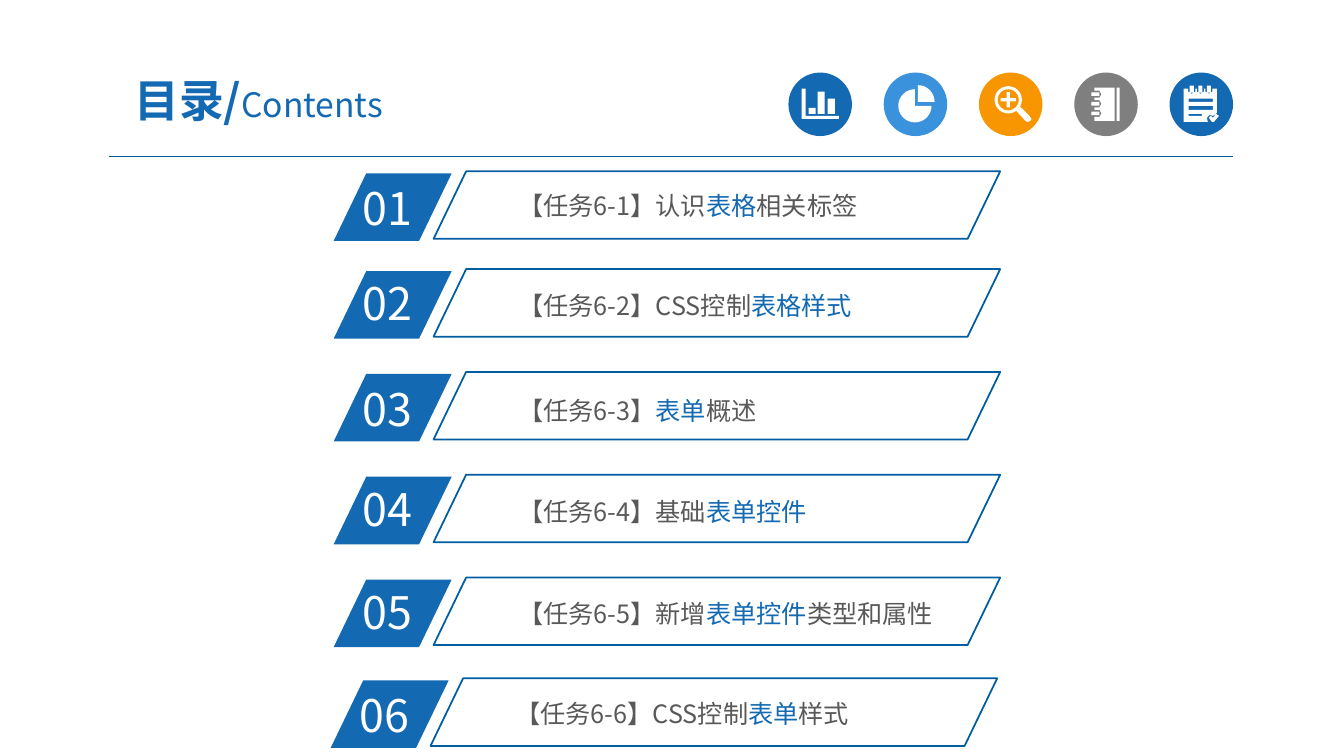
from dataclasses import dataclass
from math import cos, radians, sin

from lxml import etree
from pptx import Presentation
from pptx.dml.color import RGBColor
from pptx.enum.shapes import MSO_CONNECTOR, MSO_SHAPE
from pptx.enum.text import MSO_ANCHOR, MSO_AUTO_SIZE, PP_ALIGN
from pptx.oxml.ns import qn
from pptx.util import Inches, Pt

OVAL, SLANT = MSO_SHAPE.OVAL, MSO_SHAPE.PARALLELOGRAM
STRAIGHT = MSO_CONNECTOR.STRAIGHT
CENTER, LEFT = PP_ALIGN.CENTER, PP_ALIGN.LEFT
MIDDLE, TOP = MSO_ANCHOR.MIDDLE, MSO_ANCHOR.TOP
NO_FIT, GROW = MSO_AUTO_SIZE.NONE, MSO_AUTO_SIZE.SHAPE_TO_FIT_TEXT


@dataclass(frozen=True)
class Theme:
    font: str = "Noto Sans CJK SC"
    blue: str = "1369B2"
    sky: str = "3992DB"
    orange: str = "F79600"
    gray: str = "7F7F7F"
    text: str = "595959"
    rule: str = "005B9E"
    outline: str = "005DA2"
    white: str = "FFFFFF"
    title: int = 32
    subtitle: int = 24
    label: int = 18


T = Theme()


# Shared helpers
def rgb(color):
    return RGBColor.from_string(color)


def write(sp, runs, align=LEFT, anchor=TOP, inset=(0.1, 0.05), fit=GROW):
    """Fill a shape with one paragraph of (text, size, color, bold) runs."""
    tf = sp.text_frame
    tf.word_wrap, tf.auto_size, tf.vertical_anchor = True, fit, anchor
    tf.margin_left = tf.margin_right = Inches(inset[0])
    tf.margin_top = tf.margin_bottom = Inches(inset[1])
    p = tf.paragraphs[0]
    p.alignment = align
    for text, size, color, bold in runs:
        r = p.add_run()
        r.text = text
        r.font.size, r.font.bold, r.font.name = Pt(size), bold, T.font
        r.font.color.rgb = rgb(color)
        etree.SubElement(r.font._element, qn("a:ea"), typeface=T.font)


def add_shape(shapes, kind, left, top, width, height, fill=None):
    sp = shapes.add_shape(kind, Inches(left), Inches(top), Inches(width), Inches(height))
    sp.shadow.inherit = False
    if fill:
        sp.fill.solid()
        sp.fill.fore_color.rgb = rgb(fill)
        sp.line.fill.background()
    else:
        sp.fill.background()
    return sp


# Icon outlines, in hundredths of an inch from the corner of the disc
def rect(l, t, r, b):
    return [(l, t), (r, t), (r, b), (l, b)]


def arc(cx, cy, radius, start=0, end=360):
    angles = [radians(a) for a in range(start, end + 1, 10)]
    return [(cx + radius * cos(a), cy + radius * sin(a)) for a in angles]


def bar_chart():
    axes = [(13, 16), (17, 16), (17, 43), (50, 43), (50, 46), (13, 46)]
    return [axes] + [rect(x, y, x + 7, 41) for x, y in ((20, 35), (29, 19), (39, 26))]


def pie_chart():
    return [[(34, 29)] + arc(34, 29, 16.5, -90, 0),
            [(31, 33)] + arc(31, 33, 16.5, 0, 270)]


def magnifier():
    cx, cy, arm, half = 29, 27, 7.5, 1.6
    handle = [(37, 38), (41, 34), (50, 43), (52, 46), (51, 48), (48, 49), (46, 48)]
    plus = [(-half, -arm), (half, -arm), (half, -half), (arm, -half), (arm, half),
            (half, half), (half, arm), (-half, arm), (-half, half), (-arm, half),
            (-arm, -half), (-half, -half)]
    return [arc(cx, cy, 13.5), arc(cx, cy, 10.5), handle,
            [(cx + x, cy + y) for x, y in plus]]


def notebook():
    rings = [21.5, 31, 40.5]
    page = [(40, 48), (40, 15), (20, 15)]
    for y in rings:
        page += [(20, y - 3.5), (25, y - 3.5), (27, y), (25, y + 3.5), (20, y + 3.5)]
    page.append((20, 48))
    return [page, rect(42, 15, 45, 48)] + [rect(17, y - 1.8, 25, y + 1.8) for y in rings]


def notepad():
    tabs = [22, 30.5, 39]
    page = [(14, 49), (14, 16)]
    for x in tabs:
        page += [(x - 3.5, 16), (x - 3.5, 19), (x, 21), (x + 3.5, 19), (x + 3.5, 16)]
    page += [(47, 16), (47, 40), (43, 43), (40, 42), (37, 45), (38, 49)]
    tick = [(39, 45), (41, 43), (43, 45), (46, 41), (49, 43), (44, 49), (42, 49)]
    lines = [rect(19, 26, 43, 29), rect(19, 33, 43, 37), rect(19, 41, 32, 43)]
    return [page, tick] + lines + [rect(x - 2, 13, x + 2, 20) for x in tabs]


def add_icon(slide, left, top, size, color, contours):
    shapes = slide.shapes.add_group_shape().shapes
    add_shape(shapes, OVAL, left, top, size, size, color)
    scaled = [[(x * 10, y * 10) for x, y in c] for c in contours]
    builder = shapes.build_freeform(*scaled[0][0], scale=Inches(0.001))
    builder.add_line_segments(scaled[0][1:])
    for contour in scaled[1:]:
        builder.move_to(*contour[0])
        builder.add_line_segments(contour[1:])
    sp = builder.convert_to_shape(Inches(left), Inches(top))
    sp.shadow.inherit = False
    sp.fill.solid()
    sp.fill.fore_color.rgb = rgb(T.white)
    sp.line.fill.background()


# Header: title, icon strip and rule
def add_header(slide, left, top, right, bottom):
    rule = slide.shapes.add_connector(STRAIGHT, Inches(left), Inches(bottom),
                                      Inches(right), Inches(bottom))
    rule.line.color.rgb, rule.line.width = rgb(T.rule), Pt(0.75)
    etree.SubElement(rule._element.spPr, qn("a:effectLst"))

    title = slide.shapes.title
    title.left, title.top = Inches(left - 0.16), Inches(top)
    title.width, title.height = Inches(3.29), Inches(0.72)
    write(title, [("目录/", T.title, T.blue, True), ("Contents", T.subtitle, T.blue, False)],
          CENTER, MIDDLE, (0.13, 0.07), NO_FIT)

    icons = [(T.blue, bar_chart), (T.sky, pie_chart), (T.orange, magnifier),
             (T.gray, notebook), (T.blue, notepad)]
    size, pitch = 0.63, 0.945
    first = right - size - pitch * (len(icons) - 1)
    for i, (color, outline) in enumerate(icons):
        add_icon(slide, first + i * pitch, top + 0.09, size, color, outline())


# Contents entry: numbered tab and outlined label
def add_entry(slide, left, top, number, number_dy, label_dy, parts):
    shapes = slide.shapes.add_group_shape().shapes
    tab = add_shape(shapes, SLANT, left, top + 0.02, 1.17, 0.67, T.blue)
    box = shapes.add_textbox(Inches(left + 0.19), Inches(top + number_dy),
                             Inches(1.12), Inches(0.64))
    write(box, [(f"{number:02d}", T.title, T.white, False)])
    box = shapes.add_textbox(Inches(left + 1.76), Inches(top + label_dy),
                             Inches(4.57), Inches(0.38))
    colors = (T.text, T.blue, T.text)
    write(box, [(text, T.label, color, False) for text, color in zip(parts, colors)],
          inset=(0.07, 0.04))
    frame = add_shape(shapes, SLANT, left + 0.99, top, 5.62, 0.67)
    frame.line.color.rgb, frame.line.width = rgb(T.outline), Pt(1.25)
    for sp in (tab, frame):
        sp.adjustments[0] = 0.482


# left, top, number offset, label offset, (plain, highlighted, plain)
ENTRIES = [
    (3.31, 1.70, 0.04, 0.15, ("【任务6-1】认识", "表格", "相关标签")),
    (3.31, 2.67, 0.02, 0.17, ("【任务6-2】CSS控制", "表格样式")),
    (3.31, 3.69, 0.05, 0.19, ("【任务6-3】", "表单", "概述")),
    (3.31, 4.71, 0.02, 0.17, ("【任务6-4】基础", "表单控件")),
    (3.31, 5.73, 0.02, 0.17, ("【任务6-5】新增", "表单控件", "类型和属性")),
    (3.28, 6.73, 0.04, 0.16, ("【任务6-6】CSS控制", "表单", "样式")),
]


def main():
    prs = Presentation()
    prs.slide_width, prs.slide_height = Inches(13.33), Inches(7.5)
    slide = prs.slides.add_slide(prs.slide_layouts[5])
    add_header(slide, 1.08, 0.63, 12.23, 1.55)
    for number, (left, top, number_dy, label_dy, parts) in enumerate(ENTRIES, 1):
        add_entry(slide, left, top, number, number_dy, label_dy, parts)
    prs.save("out.pptx")


if __name__ == "__main__":
    main()
